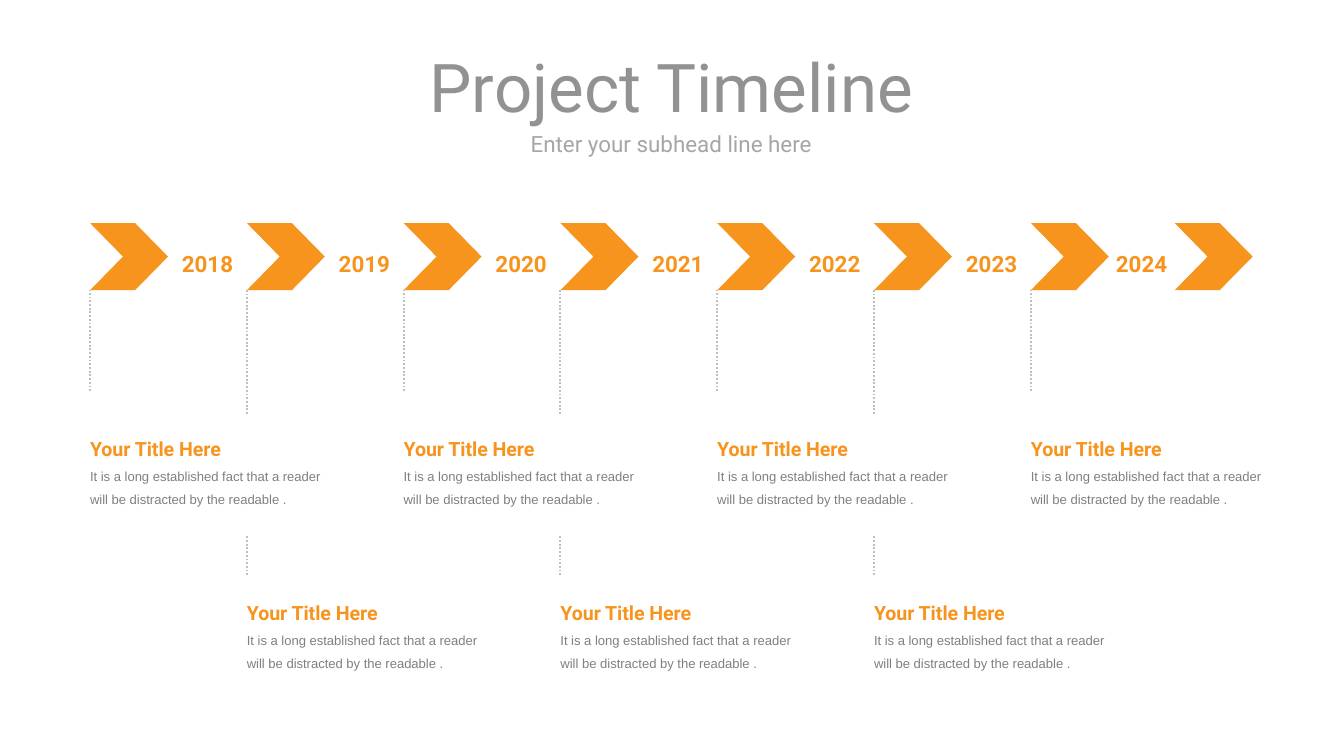
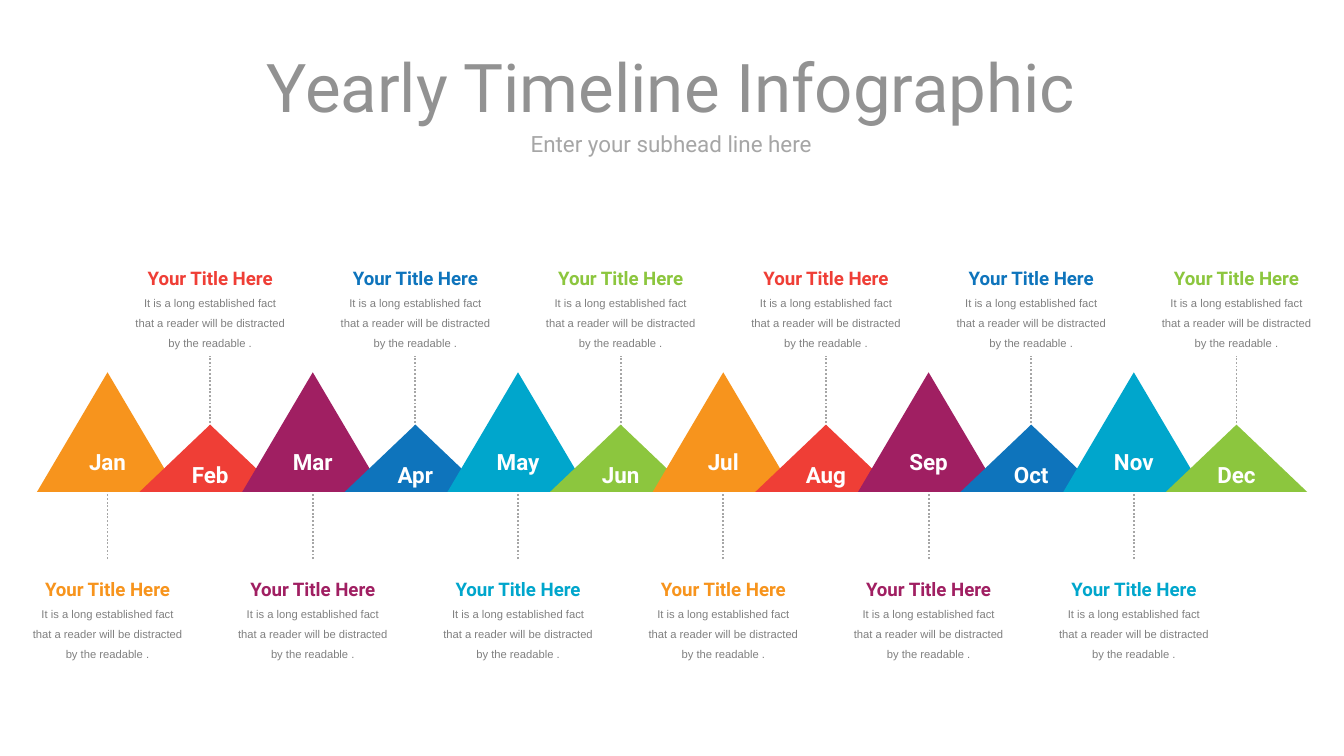
from lxml import etree
from pptx import Presentation
from pptx.dml.color import RGBColor
from pptx.enum.dml import MSO_LINE
from pptx.enum.shapes import MSO_CONNECTOR, MSO_SHAPE
from pptx.enum.text import MSO_ANCHOR, MSO_AUTO_SIZE, PP_ALIGN
from pptx.oxml.ns import qn
from pptx.util import Inches, Pt

CENTER, LEFT = PP_ALIGN.CENTER, PP_ALIGN.LEFT
MIDDLE = MSO_ANCHOR.MIDDLE
FIXED, GROW = MSO_AUTO_SIZE.NONE, MSO_AUTO_SIZE.SHAPE_TO_FIT_TEXT
CHEVRON, TRIANGLE = MSO_SHAPE.CHEVRON, MSO_SHAPE.ISOSCELES_TRIANGLE
STRAIGHT, DOTTED = MSO_CONNECTOR.STRAIGHT, MSO_LINE.ROUND_DOT

WHITE = RGBColor(0xFF, 0xFF, 0xFF)
ORANGE = RGBColor(0xF7, 0x94, 0x1D)
RED = RGBColor(0xEF, 0x3E, 0x36)
PURPLE = RGBColor(0xA0, 0x1F, 0x62)
BLUE = RGBColor(0x0E, 0x74, 0xBC)
CYAN = RGBColor(0x00, 0xA6, 0xCC)
GREEN = RGBColor(0x8C, 0xC6, 0x3E)
TITLE_GRAY = RGBColor(0x92, 0x92, 0x92)
SUBHEAD_GRAY = RGBColor(0xA6, 0xA6, 0xA6)
TEXT_GRAY = RGBColor(0x80, 0x80, 0x80)
LINE_GRAY = RGBColor(0xBF, 0xBF, 0xBF)

SLIDE_WIDTH = 10
SLIDE_HEIGHT = SLIDE_WIDTH * 9 / 16

HEADING_FONT, TEXT_FONT = "Roboto", "Arial"
SUBHEAD = "Enter your subhead line here"
CAPTION_TITLE = "Your Title Here"
CAPTION_TEXT = "It is a long established fact that a reader will be distracted by the readable ."

YEARS = ["2018", "2019", "2020", "2021", "2022", "2023", "2024"]
YEAR_LEFT, YEAR_PITCH = 0.67, 7 / 6
LAST_YEAR_LABEL_LEFT, LAST_CHEVRON_LEFT = 8.08, 8.74

MONTHS = ["Jan", "Feb", "Mar", "Apr", "May", "Jun",
          "Jul", "Aug", "Sep", "Oct", "Nov", "Dec"]
MONTH_COLORS = [ORANGE, RED, PURPLE, BLUE, CYAN, GREEN]
MONTH_CENTER, MONTH_PITCH = 0.8, 8.4 / 11
TRIANGLE_WIDTH = 1.05
BASELINE = 3.66


def text_format(size, color, bold=False, name=HEADING_FONT):
    return {"size": Pt(size), "name": name, "bold": bold, "color": color}


def place(shape, left, top, width, height):
    box = {"left": left, "top": top, "width": width, "height": height}
    for attribute, value in box.items():
        setattr(shape, attribute, Inches(value))


def write(shape, lines, align=CENTER, spacing=None, wrap=True, auto_size=FIXED):
    """Fill a shape with (text, format) lines, one paragraph each."""
    frame = shape.text_frame
    settings = {"margin_left": 0, "margin_top": 0, "margin_right": 0,
                "margin_bottom": 0, "vertical_anchor": MIDDLE,
                "word_wrap": wrap, "auto_size": auto_size}
    for attribute, value in settings.items():
        setattr(frame, attribute, value)
    for index, (text, values) in enumerate(lines):
        paragraph = frame.add_paragraph() if index else frame.paragraphs[0]
        paragraph.alignment = align
        if spacing:
            paragraph.line_spacing = spacing
        run = paragraph.add_run()
        run.text = text
        for attribute, value in values.items():
            if attribute == "color":
                run.font.color.rgb = value
            else:
                setattr(run.font, attribute, value)


def add_titled_slide(presentation, title):
    slide = presentation.slides.add_slide(presentation.slide_layouts[1])
    place(slide.shapes.title, 0.42, 0.37, 9.15, 0.54)
    write(slide.shapes.title, [(title, text_format(36, TITLE_GRAY))])

    subhead = slide.placeholders[1]
    place(subhead, 0.42, 0.97, 9.15, 0.19)
    paragraph = subhead.text_frame.paragraphs[0]
    properties = paragraph._p.get_or_add_pPr()
    properties.set("marL", "0")
    properties.set("indent", "0")
    etree.SubElement(properties, qn("a:buNone"))
    paragraph.space_before = 0
    write(subhead, [(SUBHEAD, text_format(12, SUBHEAD_GRAY))], wrap=False)
    return slide


def add_dotted_line(slide, x, bottom, top, color):
    connector = slide.shapes.add_connector(
        STRAIGHT, Inches(x), Inches(bottom), Inches(x), Inches(top))
    connector.line.color.rgb = color
    connector.line.width = Pt(1)
    connector.line.dash_style = DOTTED
    etree.SubElement(connector._element.spPr, qn("a:effectLst"))


def add_filled_shape(slide, kind, left, top, width, height, color):
    shape = slide.shapes.add_shape(
        kind, Inches(left), Inches(top), Inches(width), Inches(height))
    shape.shadow.inherit = False
    shape.fill.solid()
    shape.fill.fore_color.rgb = color
    shape.line.fill.background()
    return shape


def add_text(slide, left, top, width, height, lines, align=CENTER):
    box = slide.shapes.add_textbox(
        Inches(left), Inches(top), Inches(width), Inches(height))
    write(box, lines, align, spacing=1.5, auto_size=GROW)


def caption(color, title_size, text_size):
    return [(CAPTION_TITLE, text_format(title_size, color, bold=True)),
            (CAPTION_TEXT, text_format(text_size, TEXT_GRAY, name=TEXT_FONT))]


def add_chevron(slide, left):
    chevron = add_filled_shape(slide, CHEVRON, left, 1.66, 0.58, 0.5, ORANGE)
    chevron.adjustments[0] = 0.49


def build_project_timeline(presentation):
    slide = add_titled_slide(presentation, "Project Timeline")
    lefts = [YEAR_LEFT + index * YEAR_PITCH for index in range(len(YEARS))]
    for index, left in enumerate(lefts):
        lower = index % 2 == 1
        add_dotted_line(slide, left, 3.08 if lower else 2.91, 2.16, LINE_GRAY)
        if lower:
            add_dotted_line(slide, left, 4.28, 3.98, LINE_GRAY)
        add_text(slide, left, 4.38 if lower else 3.16, 1.75, 0.62,
                 caption(ORANGE, 10.5, 7), LEFT)
    for left in lefts + [LAST_CHEVRON_LEFT]:
        add_chevron(slide, left)
    label_lefts = [left + 0.46 for left in lefts[:-1]] + [LAST_YEAR_LABEL_LEFT]
    for year, left in zip(YEARS, label_lefts):
        add_text(slide, left, 1.76, 0.83, 0.3,
                 [(year, text_format(12, ORANGE, bold=True))])


def build_yearly_timeline(presentation):
    slide = add_titled_slide(presentation, "Yearly Timeline Infographic")
    months = [(month, MONTH_CENTER + index * MONTH_PITCH,
               MONTH_COLORS[index % len(MONTH_COLORS)], index % 2 == 0)
              for index, month in enumerate(MONTHS)]
    for _, center, color, tall in months:
        line_bottom, line_top, caption_top = (
            (4.16, 3.58, 4.21) if tall else (3.23, 2.65, 1.9))
        add_dotted_line(slide, center, line_bottom, line_top, SUBHEAD_GRAY)
        add_text(slide, center - 0.57, caption_top, 1.14, 0.71,
                 caption(color, 10, 6))
    for month, center, color, tall in months:
        height = 0.89 if tall else 0.5
        triangle = add_filled_shape(slide, TRIANGLE, center - TRIANGLE_WIDTH / 2,
                                    BASELINE - height, TRIANGLE_WIDTH, height, color)
        write(triangle, [(month, text_format(12, WHITE, bold=True))])


def main():
    presentation = Presentation()
    presentation.slide_width = Inches(SLIDE_WIDTH)
    presentation.slide_height = Inches(SLIDE_HEIGHT)
    build_project_timeline(presentation)
    build_yearly_timeline(presentation)
    presentation.save("out.pptx")


if __name__ == "__main__":
    main()
